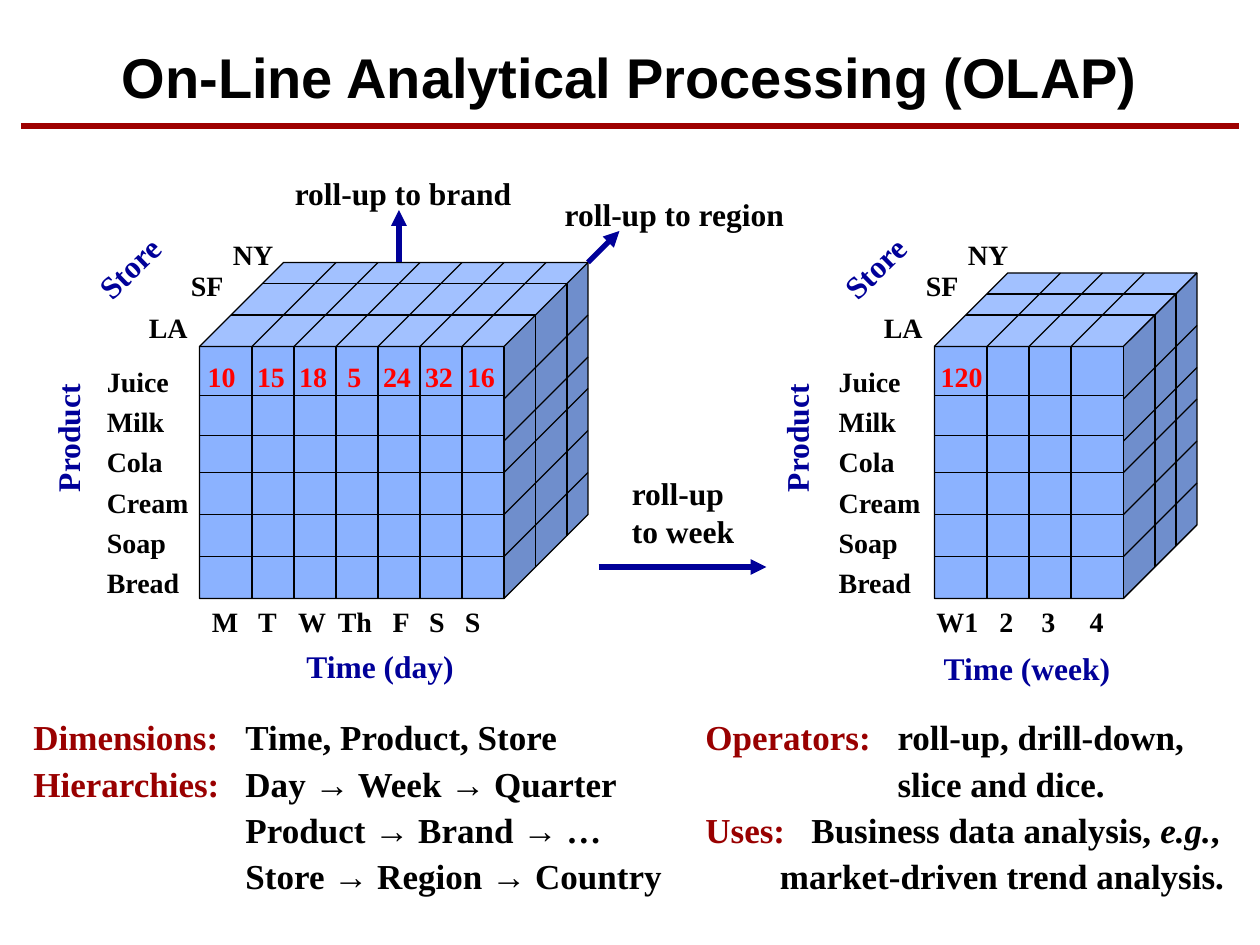
from dataclasses import dataclass
from typing import NamedTuple, Sequence

from lxml.etree import SubElement
from pptx import Presentation
from pptx.dml.color import RGBColor
from pptx.enum.shapes import MSO_CONNECTOR, MSO_SHAPE
from pptx.enum.text import MSO_ANCHOR, MSO_AUTO_SIZE, PP_ALIGN
from pptx.oxml.ns import qn
from pptx.util import Emu, Inches, Pt

BLACK = RGBColor(0x00, 0x00, 0x00)
NAVY = RGBColor(0x00, 0x00, 0x99)
CUBE_BLUE = RGBColor(0x8B, 0xB2, 0xFF)
RED = RGBColor(0xFF, 0x00, 0x00)
MAROON = RGBColor(0x99, 0x00, 0x00)
RULE_RED = RGBColor(0x9E, 0x00, 0x00)

SERIF, SANS = "Times New Roman", "Arial"
CELLS_PER_INCH = 12  # the slide is a grid of 120 columns by 90 rows
LABEL_ROWS, SMALL_ROWS = 4.8, 4.4

FRONT_ROWS = (37.7, 41.5, 45, 49, 53)
SIDE_ROWS = (38, 42, 45, 49, 53)
PRODUCTS = ("Juice", "Milk", "Cola", "Cream", "Soap", "Bread")


class Box(NamedTuple):
    left: float
    top: float
    width: float
    height: float


class Span(NamedTuple):
    text: str
    color: RGBColor = BLACK
    font: str = SERIF
    italic: bool = False


@dataclass
class Line:
    spans: Sequence[Span]
    tabs: Sequence[float] = ()
    indent: float = 0


@dataclass
class Cube:
    box: Box
    depth: float
    slices: Sequence[float]
    columns: range
    store_left: float
    product_left: float
    names_left: float
    periods: str
    periods_left: float
    period_tabs: Sequence[float]
    time: str
    time_box: Box
    values: str
    values_left: float
    value_tabs: Sequence[float] = ()


def cells(count: float) -> Emu:
    return Inches(count / CELLS_PER_INCH)


def add_text(slide, box: Box, lines: Sequence[Line], size: float, wrap=False,
             spacing=None, rotation=0.0):
    shape = slide.shapes.add_textbox(*map(cells, box))
    shape.rotation = rotation
    frame = shape.text_frame
    frame.word_wrap = wrap
    frame.auto_size = MSO_AUTO_SIZE.SHAPE_TO_FIT_TEXT
    for number, line in enumerate(lines):
        paragraph = frame.add_paragraph() if number else frame.paragraphs[0]
        paragraph.line_spacing = spacing
        properties = paragraph._p.get_or_add_pPr()
        if line.indent:
            properties.set("marL", str(cells(line.indent)))
        if line.tabs:
            stops = SubElement(properties, qn("a:tabLst"))
            for stop in line.tabs:
                SubElement(stops, qn("a:tab"), pos=str(cells(stop)), algn="l")
        for span in line.spans:
            run = paragraph.add_run()
            run.text = span.text
            run.font.size = Pt(size)
            run.font.name = span.font
            run.font.bold = True
            run.font.italic = span.italic
            run.font.color.rgb = span.color
    return frame


def add_label(slide, box: Box, text: str, size: float = 18, color=BLACK,
              rotation=0.0, spacing=None):
    lines = [Line([Span(row, color)]) for row in text.split("\n")]
    add_text(slide, box, lines, size, spacing=spacing, rotation=rotation)


def add_line(slide, start, end, color=BLACK, weight=0.75, arrow=False):
    line = slide.shapes.add_connector(MSO_CONNECTOR.STRAIGHT, *map(cells, (*start, *end)))
    line.line.color.rgb = color
    line.line.width = Pt(weight)
    if arrow:
        SubElement(line.line._get_or_add_ln(), qn("a:tailEnd"), type="triangle")
    SubElement(line._element.spPr, qn("a:effectLst"))


def add_cube(slide, cube: Cube):
    left, top, width, height = cube.box
    depth = cube.depth
    front_top, bottom, right = top + depth, top + height, left + width - depth

    solid = slide.shapes.add_shape(MSO_SHAPE.CUBE, *map(cells, cube.box))
    solid.adjustments[0] = depth / min(width, height)
    solid.shadow.inherit = False
    solid.fill.solid()
    solid.fill.fore_color.rgb = CUBE_BLUE
    solid.line.color.rgb = BLACK
    solid.line.width = Pt(0.75)

    for x in cube.columns:
        add_line(slide, (x, front_top), (x, bottom))
        add_line(slide, (x, front_top), (x + depth, top))
    for y in FRONT_ROWS:
        add_line(slide, (left, y), (right, y))
    for y in SIDE_ROWS:
        add_line(slide, (right, y), (right + depth, y - depth))
    for step in cube.slices:
        corner = (right + step, front_top - step)
        add_line(slide, (left + step, front_top - step), corner)
        add_line(slide, corner, (right + step, bottom - step))

    add_label(slide, Box(cube.store_left, 23, 9.4, LABEL_ROWS), "Store", color=NAVY, rotation=315.7)
    add_label(slide, Box(cube.product_left, 39.2, 12.9, LABEL_ROWS), "Product", color=NAVY, rotation=270)
    add_label(slide, cube.time_box, cube.time, color=NAVY)
    add_label(slide, Box(cube.names_left, 33.5, 10.6, 24.2), "\n".join(PRODUCTS), 16, spacing=Pt(23))
    for store, shift, y, columns in (("NY", 2, 22, 6.8), ("SF", -2, 25, 6), ("LA", -6, 29, 6.6)):
        add_label(slide, Box(left + shift, y, columns, SMALL_ROWS), store, 16)
    add_text(slide, Box(cube.periods_left, 57, width - 5, SMALL_ROWS),
             [Line([Span(cube.periods)], cube.period_tabs)], 16, wrap=True)
    add_text(slide, Box(cube.values_left, 33, width - 5, 5),
             [Line([Span(cube.values, RED)], cube.value_tabs)], 16, wrap=True, spacing=Pt(23))


def chain(*levels: str) -> list[Span]:
    """Hierarchy levels joined by arrows."""
    spans = [Span(levels[0])]
    for level in levels[1:]:
        spans += [Span(" "), Span("→", font=SANS), Span(f" {level}")]
    return spans


def term(name: str) -> Span:
    return Span(f"{name}:\t", MAROON)


DAY_CUBE = Cube(
    Box(19, 25, 37, 32), 8, (3, 6), range(24, 48, 4), 7.7, 0, 9,
    "M\tT\tW\tTh\tF\tS\tS", 19, (4.4, 8.2, 12, 17.2, 20.7, 24.1),
    "Time (day)", Box(28, 61, 17, LABEL_ROWS),
    "10\t15\t18\t5\t24\t32\t16", 18.6, (4.7, 8.7, 13.3, 16.7, 20.7, 24.7))
WEEK_CUBE = Cube(
    Box(89, 26, 25, 31), 7, (3, 5), range(94, 106, 4), 78.7, 69.4, 78.7,
    "W1\t2\t3\t4", 88, (6, 10, 14.6),
    "Time (week)", Box(88.7, 61.2, 19, LABEL_ROWS),
    "120", 88.4)

HIERARCHY_TAB, OPERATOR_TAB = 20.2, 18.3
DIMENSION_NOTES = [
    Line([term("Dimensions"), Span("Time, Product, Store")], [HIERARCHY_TAB]),
    Line([term("Hierarchies"), *chain("Day", "Week", "Quarter")], [HIERARCHY_TAB]),
    Line(chain("Product", "Brand", "…"), indent=HIERARCHY_TAB),
    Line(chain("Store", "Region", "Country"), indent=HIERARCHY_TAB),
]
OPERATOR_NOTES = [
    Line([term("Operators"), Span("roll-up, drill-down,")], [OPERATOR_TAB]),
    Line([Span("slice and dice.")], indent=OPERATOR_TAB),
    Line([term("Uses"), Span("Business data analysis, "), Span("e.g.", italic=True), Span(",")], [10.1]),
    Line([Span("market-driven trend analysis.")], indent=7.1),
]


def main():
    deck = Presentation()
    deck.slide_width, deck.slide_height = Inches(10), Inches(7.5)
    slide = deck.slides.add_slide(deck.slide_layouts[6])

    title = add_text(slide, Box(5, 3, 110, 8),
                     [Line([Span("On-Line Analytical Processing (OLAP)", font=SANS)])], 32, wrap=True)
    title.auto_size = MSO_AUTO_SIZE.NONE
    title.vertical_anchor = MSO_ANCHOR.BOTTOM
    title.paragraphs[0].alignment = PP_ALIGN.CENTER
    add_line(slide, (2, 12), (118, 12), RULE_RED, 3)

    for cube in (DAY_CUBE, WEEK_CUBE):
        add_cube(slide, cube)

    for start, end in (((57, 54), (73, 54)), ((38, 25), (38, 20)), ((56, 25), (59, 22))):
        add_line(slide, start, end, NAVY, 3, arrow=True)
    add_label(slide, Box(59, 44.6, 13, 8.4), "roll-up\nto week")
    add_label(slide, Box(26.9, 16, 23.6, LABEL_ROWS), "roll-up to brand")
    add_label(slide, Box(52.6, 18, 24, LABEL_ROWS), "roll-up to region")

    add_text(slide, Box(2, 67.2, 65, 18.8), DIMENSION_NOTES, 20, wrap=True, spacing=1.1)
    add_text(slide, Box(66, 67.2, 53, 18.8), OPERATOR_NOTES, 20, wrap=True, spacing=1.1)
    deck.save("out.pptx")


if __name__ == "__main__":
    main()
